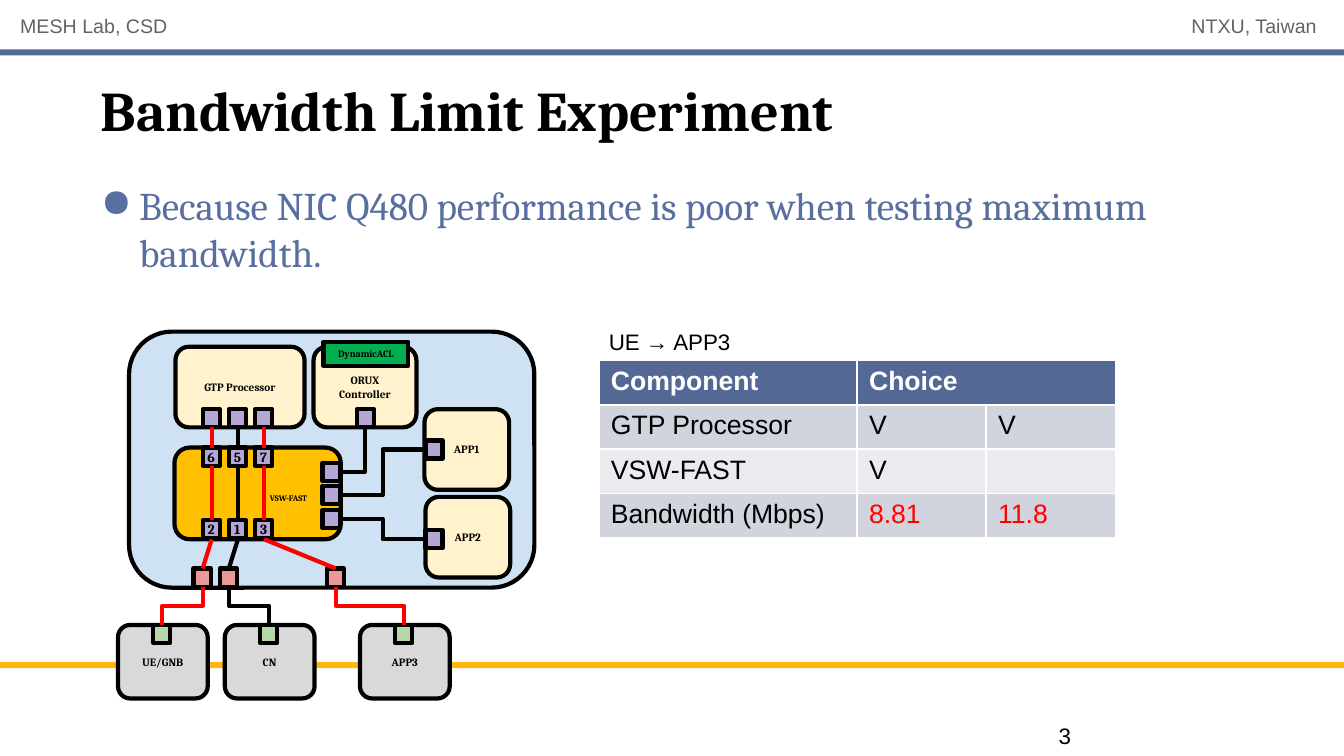
from lxml.etree import SubElement
from pptx import Presentation
from pptx.dml.color import RGBColor
from pptx.enum.shapes import MSO_CONNECTOR, MSO_SHAPE
from pptx.enum.text import MSO_ANCHOR, PP_ALIGN
from pptx.oxml.ns import qn
from pptx.util import Inches, Pt

COLORS = {
    "black": "000000", "white": "FFFFFF", "red": "FF0000", "gray": "616365",
    "navy": "536895", "body": "596F9F", "gold": "FFB612",
    "host": "CFE2F3", "switch": "FFC000", "module": "FFF2CC", "acl": "00B050",
    "node": "D9D9D9", "port": "B4A7D6", "nic": "EA9999", "node_port": "B6D7A8",
    "band": "D1D4DD", "light_band": "E9EBEF",
}
PORT_W, PORT_H = 0.17, 0.18


def rgb(name):
    return RGBColor.from_string(COLORS[name])


def set_text(tf, text, size=8, font="Cambria", color="black", bold=False,
             align=PP_ALIGN.LEFT, anchor=MSO_ANCHOR.TOP,
             insets=(0, 0, 0, 0), wrap=True):
    """Fill a text frame with one paragraph; insets run left, top, right, bottom."""
    tf.word_wrap = wrap
    tf.vertical_anchor = anchor
    tf.margin_left, tf.margin_top, tf.margin_right, tf.margin_bottom = map(Inches, insets)
    p = tf.paragraphs[0]
    p.alignment = align
    r = p.add_run()
    r.text = text
    r.font.size, r.font.name, r.font.bold = Pt(size), font, bold
    r.font.color.rgb = rgb(color)
    return p


def add_text(s, x, y, w, h, text, **fmt):
    tb = s.shapes.add_textbox(Inches(x), Inches(y), Inches(w), Inches(h))
    return set_text(tb.text_frame, text, **fmt)


def add_bullet(p, char, indent):
    p.space_after = Pt(6)
    pPr = p._p.get_or_add_pPr()
    pPr.set("marL", str(Inches(indent)))
    pPr.set("indent", str(-Inches(indent)))
    SubElement(pPr, qn("a:buChar")).set("char", char)


def add_bar(s, y, color):
    sp = s.shapes.add_shape(MSO_SHAPE.RECTANGLE, 0, Inches(y), Inches(13.33), Inches(0.06))
    sp.shadow.inherit = False
    sp.fill.solid()
    sp.fill.fore_color.rgb = rgb(color)
    sp.line.fill.background()


def add_block(s, x, y, w, h, fill, text="", kind=MSO_SHAPE.ROUNDED_RECTANGLE, **fmt):
    """Add an outlined block with a bold centred label."""
    sp = s.shapes.add_shape(kind, Inches(x), Inches(y), Inches(w), Inches(h))
    sp.shadow.inherit = False
    sp.fill.solid()
    sp.fill.fore_color.rgb = rgb(fill)
    sp.line.color.rgb = rgb("black")
    sp.line.width = Pt(3)
    if text:
        set_text(sp.text_frame, text, bold=True, align=PP_ALIGN.CENTER,
                 anchor=MSO_ANCHOR.MIDDLE, **fmt)


def add_port(s, x, y, fill="port", label=""):
    add_block(s, x, y, PORT_W, PORT_H, fill, label, kind=MSO_SHAPE.RECTANGLE,
              size=10, wrap=False)


def add_link(s, x1, y1, x2, y2, color="black", kind=MSO_CONNECTOR.STRAIGHT):
    c = s.shapes.add_connector(kind, Inches(x1), Inches(y1), Inches(x2), Inches(y2))
    c.line.color.rgb = rgb(color)
    c.line.width = Pt(3)
    SubElement(c._element.spPr, qn("a:effectLst"))
    return c


def add_drop(s, x1, y1, x2, y2, color):
    """Add an elbow that leaves and arrives vertically, as a quarter-turned connector."""
    cx, cy = (x1 + x2) / 2, (y1 + y2) / 2
    dx, dy = (x2 - x1) / 2, (y2 - y1) / 2
    c = add_link(s, cx - dy, cy + dx, cx + dy, cy - dx, color, MSO_CONNECTOR.ELBOW)
    c._element.spPr.find(qn("a:xfrm")).set("rot", str(90 * 60000))


def add_diagram(s):
    pad = (0.1, 0.05, 0.1, 0.05)
    add_block(s, 1.28, 3.29, 4.02, 2.54, "host")
    add_block(s, 1.73, 4.44, 1.65, 0.91, "switch", "VSW-FAST", size=6,
              insets=(0.71, 0.14, 0.1, 0.05))
    for x, y, w, name in ((1.74, 3.44, 1.28, "GTP Processor"),
                          (3.11, 3.44, 1.02, "ORUX Controller"),
                          (4.21, 4.06, 0.84, "APP1"), (4.22, 4.93, 0.84, "APP2")):
        add_block(s, x, y, w, 0.8, "module", name, insets=pad)
    add_block(s, 3.21, 3.39, 0.84, 0.24, "acl", "DynamicACL",
              kind=MSO_SHAPE.RECTANGLE, size=7)

    # Each traffic path: switch ports, NIC position, node position and name
    paths = (("6", "2", 1.92, 1.17, "UE/GNB", "red"),
             ("5", "1", 2.18, 2.23, "CN", "black"),
             ("7", "3", 3.24, 3.57, "APP3", "red"))
    for i, (upper, lower, nic_x, node_x, name, color) in enumerate(paths):
        x = 2.01 + 0.26 * i
        mid, nic_mid = x + 0.09, nic_x + 0.09
        add_block(s, node_x, 6.2, 0.89, 0.73, "node", name, insets=pad)
        add_port(s, node_x + 0.35, 6.2, "node_port")
        add_port(s, nic_x, 5.64, "nic")
        for y, label in ((4.06, ""), (4.44, upper), (5.16, lower)):
            add_port(s, x, y, label=label)
        add_link(s, mid, 4.24, mid, 4.44, color)
        add_link(s, mid, 4.62, mid, 5.16, color)
        add_link(s, mid, 5.35, nic_mid, 5.64, color)
        add_drop(s, nic_mid, 5.82, node_x + 0.44, 6.2, color)

    for x, y in ((3.54, 4.06), (3.2, 4.59), (3.2, 4.82), (3.2, 5.06),
                 (4.22, 4.37), (4.22, 5.26)):
        add_port(s, x, y)
    add_link(s, 3.37, 4.91, 4.22, 4.46, kind=MSO_CONNECTOR.ELBOW)
    add_link(s, 3.37, 5.15, 4.22, 5.35, kind=MSO_CONNECTOR.ELBOW)
    corner = add_link(s, 3.37, 4.68, 3.62, 4.24, kind=MSO_CONNECTOR.ELBOW)
    corner._element.spPr.find(qn("a:prstGeom")).set("prst", "bentConnector2")


def add_results(s):
    rows = (("Component", "Choice", ""), ("GTP Processor", "V", "V"),
            ("VSW-FAST", "V", ""), ("Bandwidth (Mbps)", "8.81", "11.8"))
    fills = ("navy", "band", "light_band", "band")
    table = s.shapes.add_table(4, 3, Inches(5.94), Inches(3.58),
                               Inches(5.12), Inches(1.75)).table
    for col, w in zip(table.columns, (2.56, 1.28, 1.28)):
        col.width = Inches(w)
    for i, row in enumerate(rows):
        for j, text in enumerate(row):
            cell = table.cell(i, j)
            cell.fill.solid()
            cell.fill.fore_color.rgb = rgb(fills[i])
            cell.margin_left = cell.margin_right = Inches(0.12)
            cell.margin_top = cell.margin_bottom = Inches(0.06)
            if text:
                color = "white" if i == 0 else "red" if i == 3 and j else "black"
                set_text(cell.text_frame, text, size=19, font="Arial", color=color,
                         bold=i == 0, insets=(0.12, 0.06, 0.12, 0.06))
    table.cell(0, 1).merge(table.cell(0, 2))


def main():
    prs = Presentation()
    prs.slide_width, prs.slide_height = Inches(13.33), Inches(7.5)
    s = prs.slides.add_slide(prs.slide_layouts[6])
    add_bar(s, 6.57, "gold")
    add_bar(s, 0.49, "navy")
    header = dict(size=14, font="Arial", color="gray", anchor=MSO_ANCHOR.MIDDLE)
    add_text(s, 0.2, 0.07, 5.67, 0.36, "MESH Lab, CSD", **header)
    add_text(s, 10.26, 0.07, 2.8, 0.36, "NTXU, Taiwan", align=PP_ALIGN.RIGHT, **header)
    add_text(s, 1, 0.65, 11.33, 0.86, "Bandwidth Limit Experiment", size=40,
             bold=True, anchor=MSO_ANCHOR.MIDDLE)
    p = add_text(s, 1, 1.8, 11.29, 4.5,
                 "Because NIC Q480 performance is poor when testing maximum bandwidth.",
                 size=28, color="body")
    add_bullet(p, "●", 0.38)
    add_text(s, 5.94, 3.21, 1.67, 0.37, "UE → APP3", size=16, font="Arial",
             insets=(0.1, 0.05, 0.1, 0.05))
    add_diagram(s)
    add_results(s)
    add_text(s, 10.5, 7.14, 2.67, 0.32, "3", size=16, font="Arial",
             anchor=MSO_ANCHOR.MIDDLE)
    prs.save("out.pptx")


if __name__ == "__main__":
    main()
